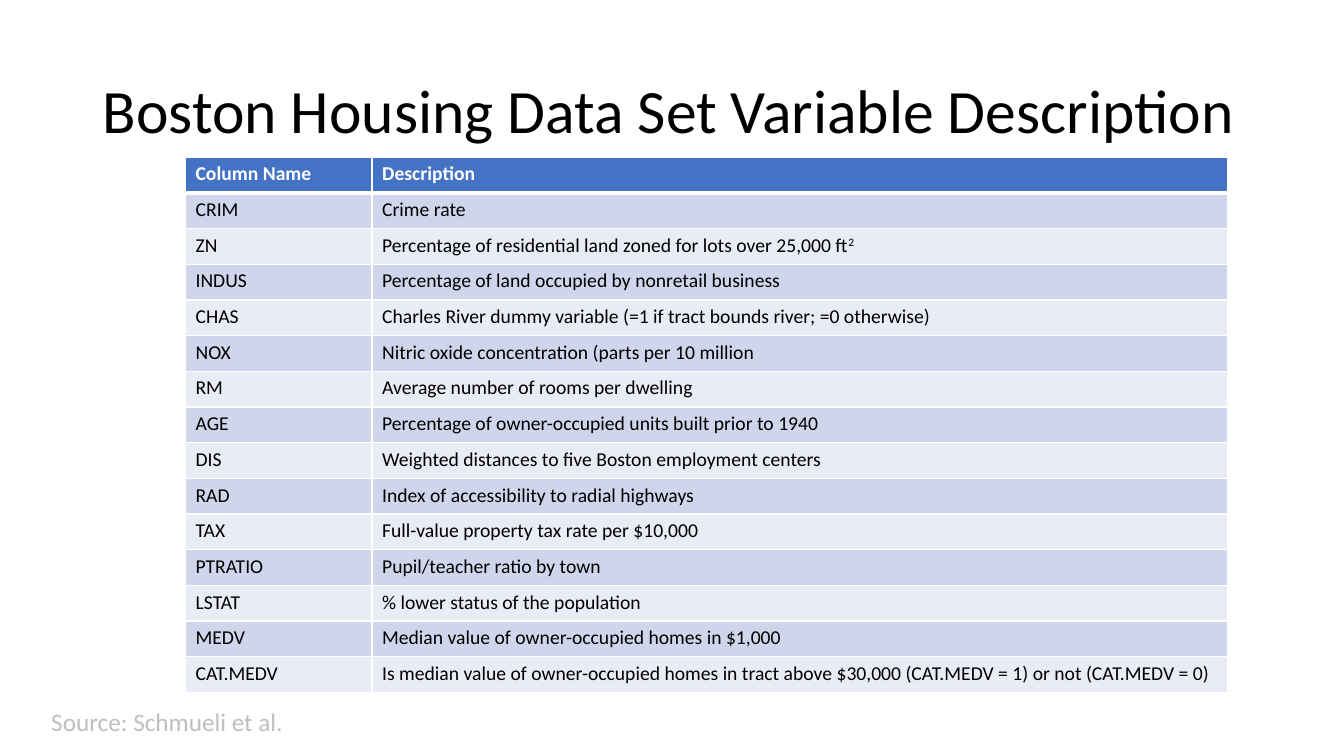
from lxml import etree
from pptx import Presentation
from pptx import util as u
from pptx.dml.color import RGBColor
from pptx.enum import text
from pptx.oxml.ns import qn

PX = 9144  # 100 px to the inch
FONT = "Calibri"
WHITE, BLACK, GREY = "FFFFFF", "000000", "BFBFBF"
HEADER_FILL = "4472C4"
BAND_FILLS = ("E9EBF5", "CFD5EA")  # even rows, odd rows
COLUMN_WIDTHS = (185, 849)

HEADER = ("Column Name", "Description")
VARIABLES = [
    ("CRIM", "Crime rate"),
    ("ZN", "Percentage of residential land zoned for lots over 25,000 ft^2"),
    ("INDUS", "Percentage of land occupied by nonretail business"),
    ("CHAS", "Charles River dummy variable (=1 if tract bounds river; =0 otherwise)"),
    ("NOX", "Nitric oxide concentration (parts per 10 million"),
    ("RM", "Average number of rooms per dwelling"),
    ("AGE", "Percentage of owner-occupied units built prior to 1940"),
    ("DIS", "Weighted distances to five Boston employment centers"),
    ("RAD", "Index of accessibility to radial highways"),
    ("TAX", "Full-value property tax rate per $10,000"),
    ("PTRATIO", "Pupil/teacher ratio by town"),
    ("LSTAT", "% lower status of the population"),
    ("MEDV", "Median value of owner-occupied homes in $1,000"),
    ("CAT.MEDV", "Is median value of owner-occupied homes in tract above $30,000 "
                 "(CAT.MEDV = 1) or not (CAT.MEDV = 0)"),
]


def px(*lengths):
    return [u.Emu(length * PX) for length in lengths]


def color(value):
    return RGBColor.from_string(value)


def write(frame, words, size, ink, bold=False):
    """Write one paragraph; whatever follows ^ is superscript."""
    para = frame.paragraphs[0]
    para.alignment = text.PP_ALIGN.LEFT
    para.font.name, para.font.size = FONT, u.Pt(size)
    para.font.bold, para.font.color.rgb = bold, color(ink)
    base, _, power = words.partition("^")
    para.add_run().text = base
    if power:
        span = para.add_run()
        span.text = power
        span.font._element.set("baseline", "30000")
    return para


def add_title(page, words):
    title = page.shapes.title
    title.left, title.top, title.width, title.height = px(92, 40, 1150, 145)
    frame = title.text_frame
    frame.auto_size = text.MSO_AUTO_SIZE.NONE
    frame.vertical_anchor = text.MSO_ANCHOR.MIDDLE
    write(frame, words, 44, BLACK).line_spacing = 0.9


def add_source(page, words):
    box = page.shapes.add_textbox(*px(41, 696, 286, 40))
    box.text_frame.word_wrap = True
    box.text_frame.auto_size = text.MSO_AUTO_SIZE.SHAPE_TO_FIT_TEXT
    write(box.text_frame, words, 18, GREY)


def set_borders(cell, widths):
    """Put white borders before the cell's fill, as the schema orders them."""
    properties = cell._tc.get_or_add_tcPr()
    for place, (side, width) in enumerate(widths.items()):
        line = etree.Element(qn(f"a:ln{side}"), w=str(u.Pt(width)))
        fill = etree.SubElement(line, qn("a:solidFill"))
        etree.SubElement(fill, qn("a:srgbClr"), val=WHITE)
        properties.insert(place, line)


def add_variable_table(page):
    rows = [HEADER, *VARIABLES]
    table = page.shapes.add_table(
        len(rows), len(HEADER), *px(184, 156, sum(COLUMN_WIDTHS), 531)).table
    table.horz_banding = False
    for column, width in zip(table.columns, px(*COLUMN_WIDTHS)):
        column.width = width

    for r, row in enumerate(rows):
        is_header = r == 0
        for c, words in enumerate(row):
            cell = table.cell(r, c)
            cell.fill.solid()
            cell.fill.fore_color.rgb = color(HEADER_FILL if is_header else BAND_FILLS[r % 2])
            set_borders(cell, {"L": 1, "R": 1, "T": 3 if r == 1 else 1,
                               "B": 3 if is_header else 1})
            write(cell.text_frame, words, 14, WHITE if is_header else BLACK, is_header)


def main():
    deck = Presentation()
    deck.slide_width, deck.slide_height = px(1333, 750)
    page = deck.slides.add_slide(deck.slide_layouts[5])  # title only
    add_title(page, "Boston Housing Data Set Variable Description")
    add_source(page, "Source: Schmueli et al.")
    add_variable_table(page)
    deck.save("out.pptx")


if __name__ == "__main__":
    main()
